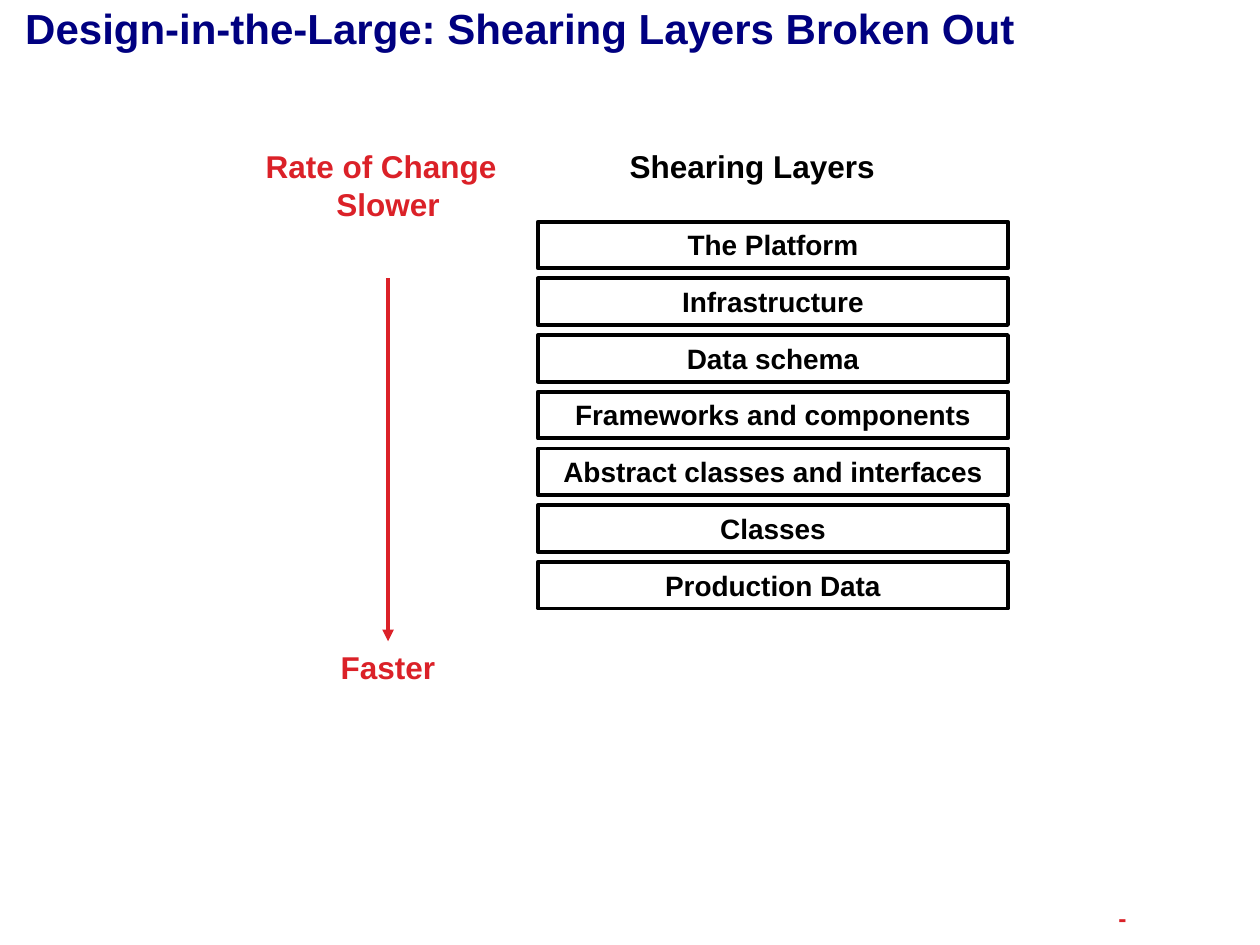
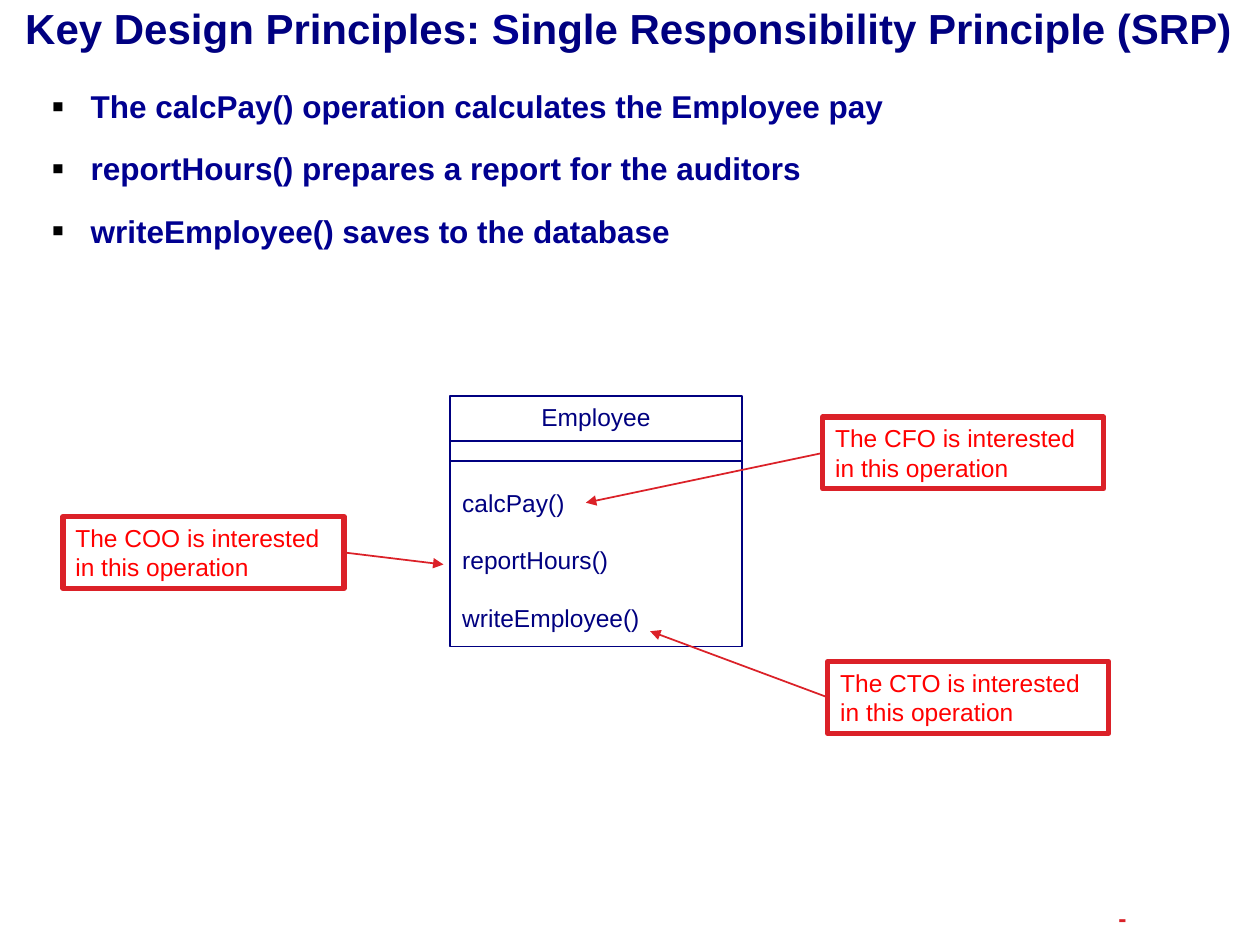
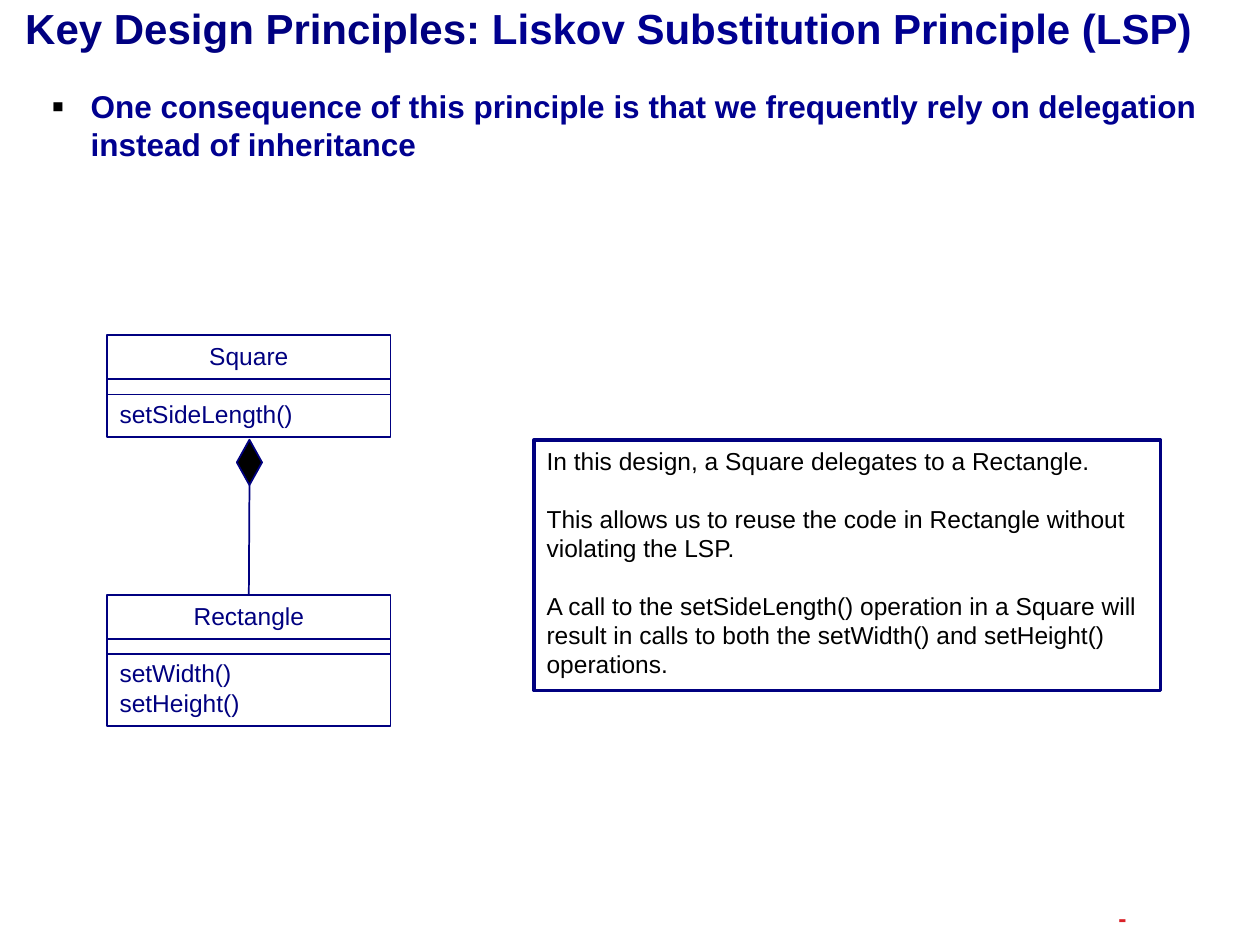
from lxml.etree import SubElement
from pptx import Presentation
from pptx.dml.color import RGBColor
from pptx.enum.shapes import MSO_CONNECTOR, MSO_SHAPE
from pptx.enum.text import MSO_ANCHOR, MSO_AUTO_SIZE, PP_ALIGN
from pptx.oxml.ns import qn
from pptx.util import Inches, Pt

FONT = "Arial"
NAVY, BLUE = "000080", "000090"
CRIMSON, RED, BLACK = "DB2128", "FF0000", "000000"
LINE_HEIGHT = 16.1  # points, for 14 point text
TITLE_ONLY, TITLE_AND_CONTENT = 5, 1


def rgb(hex_color):
    return RGBColor.from_string(hex_color)


def add_paragraph(tf, text, size=14, color=BLACK, bold=False,
                  align=PP_ALIGN.LEFT, before=0):
    """Add a paragraph; text is a string or a list of (text, colour) runs."""
    p = tf.paragraphs[0]
    if p.runs:
        p = tf.add_paragraph()
    p.alignment = align
    p.space_before = Pt(before)
    for part, part_color in [(text, color)] if isinstance(text, str) else text:
        r = p.add_run()
        r.text = part
        r.font.name = FONT
        r.font.size = Pt(size)
        r.font.bold = bold
        r.font.color.rgb = rgb(part_color)
    return p


def set_frame(sp, anchor=MSO_ANCHOR.TOP, insets=(0.1, 0.05, 0.1, 0.05)):
    tf = sp.text_frame
    tf.word_wrap = True
    tf.auto_size = MSO_AUTO_SIZE.NONE
    tf.vertical_anchor = anchor
    tf.margin_left, tf.margin_top, tf.margin_right, tf.margin_bottom = map(Inches, insets)
    return tf


def place(sp, box):
    sp.left, sp.top, sp.width, sp.height = map(Inches, box)


def add_label(slide, box, lines, **fmt):
    tf = set_frame(slide.shapes.add_textbox(*map(Inches, box)))
    for line in lines:
        add_paragraph(tf, line, **fmt)


def add_box(slide, box, line, width=1, fill=None, shape=MSO_SHAPE.RECTANGLE):
    sp = slide.shapes.add_shape(shape, *map(Inches, box))
    sp.shadow.inherit = False
    if fill:
        sp.fill.solid()
        sp.fill.fore_color.rgb = rgb(fill)
    else:
        sp.fill.background()
    sp.line.color.rgb = rgb(line)
    sp.line.width = Pt(width)
    set_frame(sp)
    return sp


def add_line(slide, start, end, color=NAVY, width=1, arrow=False):
    line = slide.shapes.add_connector(MSO_CONNECTOR.STRAIGHT, *map(Inches, start + end))
    line.line.color.rgb = rgb(color)
    line.line.width = Pt(width)
    if arrow:
        SubElement(line.line._get_or_add_ln(), qn("a:tailEnd"), type="triangle")
    SubElement(line._element.spPr, qn("a:effectLst"))
    return line


def add_slide(prs, layout, title):
    """Add a slide with the shared title style and footer mark."""
    slide = prs.slides.add_slide(prs.slide_layouts[layout])
    sp = slide.shapes.title
    place(sp, (0, 0, 10, 0.44))
    tf = set_frame(sp, MSO_ANCHOR.MIDDLE, (0.2, 0, 0.1, 0))
    add_paragraph(tf, title, size=24, color=NAVY, bold=True)
    footer = slide.shapes.add_textbox(*map(Inches, (7.92, 7.11, 1.02, 0.34)))
    tf = set_frame(footer, MSO_ANCHOR.MIDDLE, (0, 0.05, 0, 0.05))
    add_paragraph(tf, "-", color="DA2128", bold=True, align=PP_ALIGN.RIGHT, before=7)
    return slide


def fill_bullets(slide, height, items):
    sp = slide.placeholders[1]
    place(sp, (0.31, 0.64, 9.4, height))
    tf = set_frame(sp)
    for item in items:
        p = add_paragraph(tf, item, size=18, color=BLUE, bold=True, before=14)
        pPr = p._p.get_or_add_pPr()
        pPr.set("marL", str(Inches(0.31)))
        pPr.set("indent", str(Inches(-0.31)))
        SubElement(SubElement(pPr, qn("a:buClr")), qn("a:srgbClr"), val=BLACK)
        SubElement(pPr, qn("a:buSzPct"), val="115000")
        SubElement(pPr, qn("a:buFont"), typeface=FONT)
        SubElement(pPr, qn("a:buChar"), char="▪")


def add_class(slide, box, name, operations, dividers, first_gap=1, gap=0):
    """Draw a UML class; gaps are in text lines, dividers in inches from the top."""
    left, top, width, _ = box
    sp = add_box(slide, box, NAVY)
    add_paragraph(sp.text_frame, name, color=NAVY, align=PP_ALIGN.CENTER)
    for i, operation in enumerate(operations):
        add_paragraph(sp.text_frame, operation, color=NAVY,
                      before=LINE_HEIGHT * (gap if i else first_gap))
    for offset in dividers:
        add_line(slide, (left, top + offset), (left + width, top + offset))
    return sp


def add_rate_of_change(slide, left, top):
    width = 2.14
    fmt = dict(size=18, color=CRIMSON, bold=True, align=PP_ALIGN.CENTER)
    add_label(slide, (left, top, width, 1.01), ["Rate of Change\t", "Slower"], **fmt)
    add_label(slide, (left, top + 3.97, width, 0.4), ["Faster"], **fmt)
    middle = left + width / 2
    add_line(slide, (middle, top + 1.09), (middle, top + 3.97), CRIMSON, 2.25, arrow=True)


def add_layers(slide, left, top, names):
    fmt = dict(bold=True, align=PP_ALIGN.CENTER)
    add_label(slide, (left + 0.39, top, 2.62, 0.4), ["Shearing Layers"], size=18, **fmt)
    for i, name in enumerate(names):
        sp = add_box(slide, (left, top + 0.64 + 0.45 * i, 3.73, 0.37), BLACK, 2.25)
        add_paragraph(sp.text_frame, name, size=16, **fmt)


def add_callout(slide, left, top, role, side, target):
    sp = add_box(slide, (left, top, 2.23, 0.57), CRIMSON, 3)
    add_paragraph(sp.text_frame, f"The {role} is interested in this operation", color=RED)
    add_line(slide, (left, top), target, CRIMSON, arrow=True).begin_connect(sp, side)


def build_shearing_layers(prs):
    slide = add_slide(prs, TITLE_ONLY, "Design-in-the-Large: Shearing Layers Broken Out")
    add_rate_of_change(slide, 2.01, 1.12)
    add_layers(slide, 4.27, 1.12, [
        "The Platform", "Infrastructure", "Data schema", "Frameworks and components",
        "Abstract classes and interfaces", "Classes", "Production Data"])


def build_single_responsibility(prs):
    slide = add_slide(prs, TITLE_AND_CONTENT, [
        ("Key Design Principles: ", NAVY), ("S", BLUE),
        ("ingle Responsibility Principle (SRP)", NAVY)])
    fill_bullets(slide, 1.9, [
        "The calcPay() operation calculates the Employee pay",
        "reportHours() prepares a report for the auditors",
        "writeEmployee() saves to the database"])
    add_class(slide, (3.57, 3.14, 2.32, 1.99), "Employee",
              ["calcPay()", "reportHours()", "writeEmployee()"],
              dividers=(0.36, 0.52), first_gap=2, gap=1)
    add_callout(slide, 6.53, 3.31, "CFO", 1, (4.65, 3.99))
    add_callout(slide, 6.57, 5.25, "CTO", 1, (5.16, 5.01))
    add_callout(slide, 0.5, 4.1, "COO", 3, (3.52, 4.48))


def build_liskov_substitution(prs):
    slide = add_slide(prs, TITLE_AND_CONTENT, [
        ("Key Design Principles: ", NAVY), ("Liskov Substitution Principle (LSP)", BLUE)])
    fill_bullets(slide, 0.71, [
        "One consequence of this principle is that we frequently rely on delegation "
        "instead of inheritance"])
    note = add_box(slide, (4.24, 3.49, 4.97, 1.99), NAVY, 2)
    for i, text in enumerate([
            "In this design, a Square delegates to a Rectangle.",
            "This allows us to reuse the code in Rectangle without violating the LSP.",
            "A call to the setSideLength() operation in a Square will result in calls "
            "to both the setWidth() and setHeight() operations."]):
        add_paragraph(note.text_frame, text, before=LINE_HEIGHT if i else 0)
    dividers = (0.35, 0.47)
    rectangle = add_class(slide, (0.85, 4.72, 2.25, 1.04), "Rectangle",
                          ["setWidth()", "setHeight()"], dividers)
    add_class(slide, (0.85, 2.66, 2.25, 0.81), "Square", ["setSideLength()"], dividers)
    diamond = add_box(slide, (1.88, 3.49, 0.2, 0.36), NAVY, fill=BLACK,
                      shape=MSO_SHAPE.FLOWCHART_DECISION)
    line = add_line(slide, (1.98, 3.85), (1.98, 4.72))
    line.begin_connect(diamond, 2)
    line.end_connect(rectangle, 0)


def main():
    prs = Presentation()
    prs.slide_width, prs.slide_height = Inches(10), Inches(7.5)
    build_shearing_layers(prs)
    build_single_responsibility(prs)
    build_liskov_substitution(prs)
    prs.save("out.pptx")


if __name__ == "__main__":
    main()
